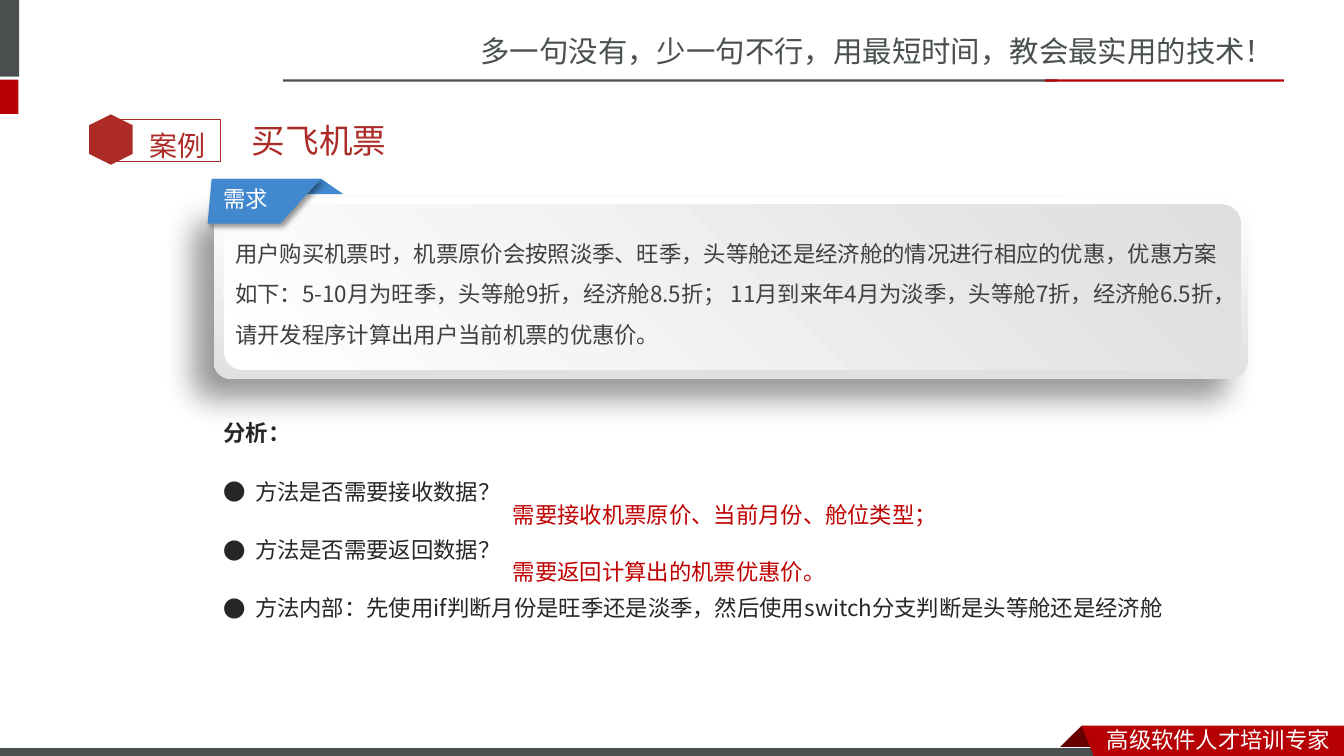
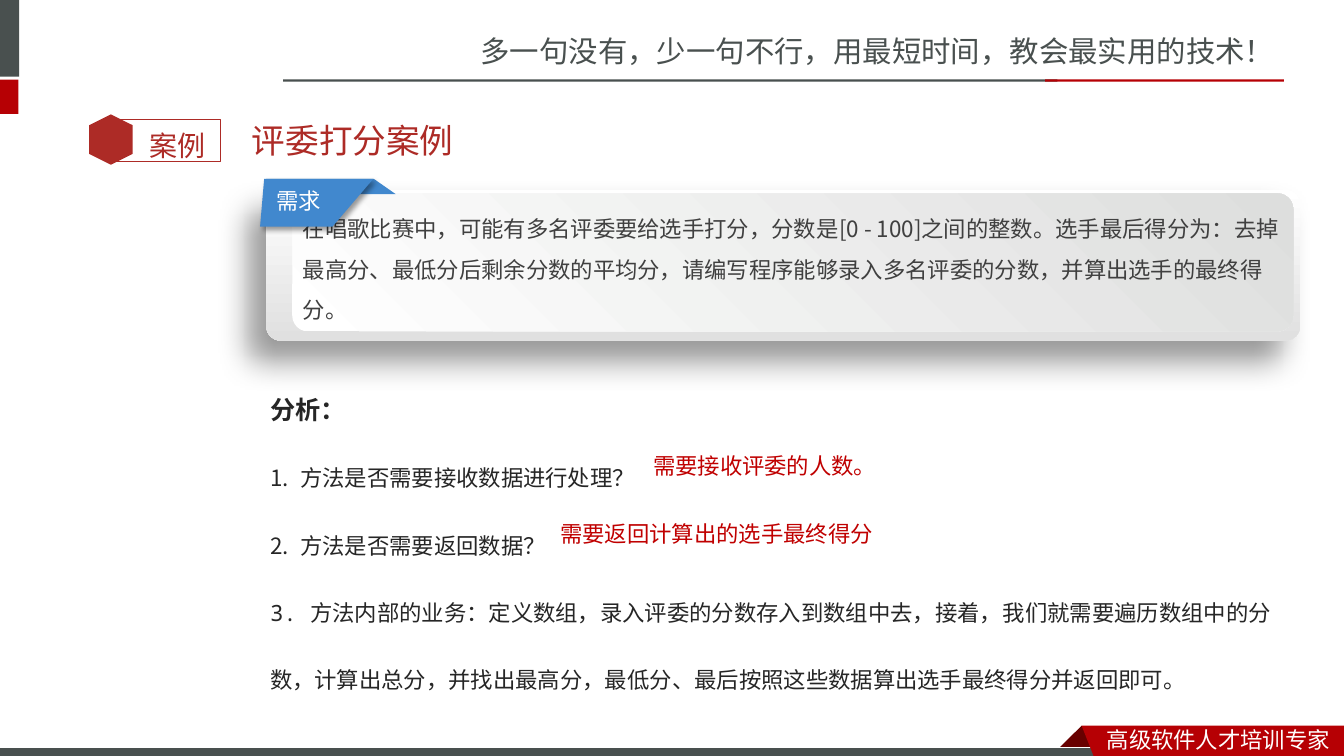
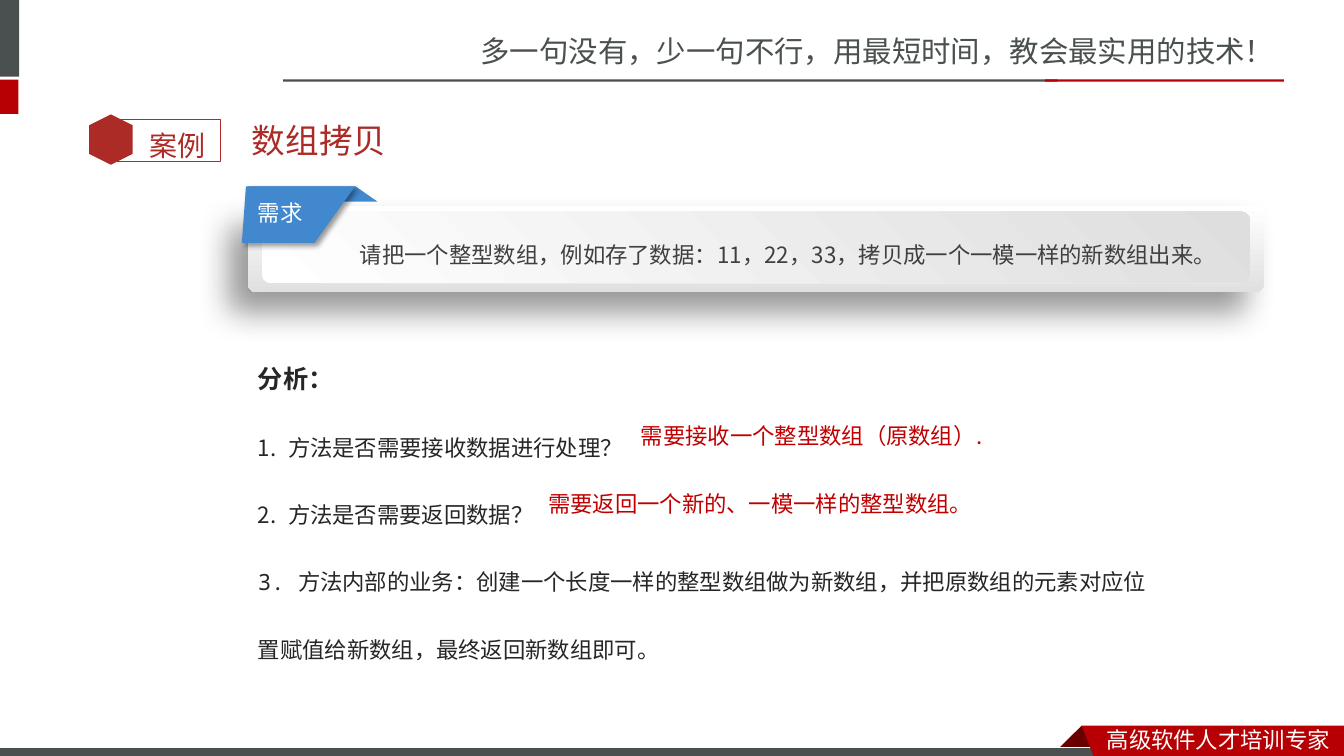
"""Builds three programming case-study slides."""
from dataclasses import dataclass
from typing import Any, Sequence

from lxml import etree
from pptx import Presentation
from pptx import util as u
from pptx.dml import color as dml
from pptx.enum import shapes, text
from pptx.oxml import ns

SANS_SC = "Noto Sans CJK SC"
SANS_JP = "Noto Sans CJK JP"
MONO = "Noto Sans Mono"
SLATE, RED, MAROON, BRICK = "49504F", "B60004", "680000", "AD2B26"
BLUE, WHITE, INK, GREY, ANSWER_RED = "4188CE", "FFFFFF", "262626", "404040", "C00000"
RECT = shapes.MSO_SHAPE.RECTANGLE
ROUNDED = shapes.MSO_SHAPE.ROUNDED_RECTANGLE
MIDDLE = text.MSO_ANCHOR.MIDDLE


@dataclass(frozen=True)
class Area:
    """A rectangle in points."""
    x: float
    y: float
    w: float
    h: float

    def lengths(self) -> tuple[int, ...]:
        """Return left, top, width and height as lengths."""
        return tuple(u.Pt(value) for value in (self.x, self.y, self.w, self.h))


@dataclass(frozen=True)
class Span:
    """A run of text in one style."""
    words: str
    font: str = SANS_JP
    size: float = 16
    color: str = INK
    bold: bool = False


@dataclass(frozen=True)
class Para:
    """A paragraph with its spacing and bullet."""
    spans: Sequence[Span]
    spacing: float = 1
    before: float = 0
    bullet: str = ""
    hang: float = 0
    left: float = 0
    centred: bool = False


@dataclass(frozen=True)
class Shadow:
    """An outer shadow: blur and distance in points, direction in degrees."""
    blur: float
    distance: float
    direction: int


@dataclass(frozen=True)
class Answer:
    """A red answer beside a question."""
    x: float
    y: float
    w: float
    words: str


@dataclass(frozen=True)
class Case:
    """The content of one slide."""
    title: str
    outer: Area
    inner: Area
    tab_top: float
    tab_height: float
    need: Para
    analysis_area: Area
    analysis: Sequence[Para]
    answers: Sequence[Answer]
    title_font: str = SANS_JP


CARD_SHADOW = Shadow(22, 20, 135)
TAB_SHADOW = Shadow(4, 3, 45)


def rgb(code: str) -> dml.RGBColor:
    """Turn a hex string into a colour."""
    return dml.RGBColor.from_string(code)


def add_shadow(shape: Any, shadow: Shadow) -> None:
    """Give a shape a soft black shadow."""
    effects = shape._element.spPr.find(ns.qn("a:effectLst"))
    outer = etree.SubElement(
        effects, ns.qn("a:outerShdw"), blurRad=str(u.Pt(shadow.blur)),
        dist=str(u.Pt(shadow.distance)), dir=str(shadow.direction * 60000),
        algn="ctr", rotWithShape="0")
    black = etree.SubElement(outer, ns.qn("a:srgbClr"), val="000000")
    etree.SubElement(black, ns.qn("a:alpha"), val="40000")


def paint(shape: Any, fill: str = "", line: str = "", width: float = 1) -> Any:
    """Set the fill and outline of a shape without a shadow."""
    shape.shadow.inherit = False
    if fill:
        shape.fill.solid()
        shape.fill.fore_color.rgb = rgb(fill)
    else:
        shape.fill.background()
    if line:
        shape.line.color.rgb = rgb(line)
        shape.line.width = u.Pt(width)
    else:
        shape.line.fill.background()
    return shape


def add_block(page: Any, area: Area, fill: str = "", line: str = "", width: float = 1,
              kind: Any = RECT) -> Any:
    """Add a preset shape."""
    return paint(page.shapes.add_shape(kind, *area.lengths()), fill, line, width)


def add_outline(page: Any, points: Sequence[tuple[float, float]], fill: str) -> Any:
    """Add a closed polygon."""
    corners = [(u.Pt(x), u.Pt(y)) for x, y in points]
    builder = page.shapes.build_freeform(*corners[0])
    builder.add_line_segments(corners[1:], close=True)
    return paint(builder.convert_to_shape(), fill)


def add_gradient(shape: Any, end: str, angle: float) -> None:
    """Fill a shape from white to another colour."""
    shape.fill.gradient()
    shape.fill.gradient_angle = angle
    for stop, code, position in zip(shape.fill.gradient_stops, (WHITE, end), (0, 1)):
        stop.color.rgb = rgb(code)
        stop.position = position


def add_bullet(para: Any, bullet: str) -> None:
    """Add a bullet character or, for 1., automatic numbering."""
    props = para._p.get_or_add_pPr()
    etree.SubElement(props, ns.qn("a:buFont"), typeface=SANS_JP)
    if bullet == "1.":
        etree.SubElement(props, ns.qn("a:buAutoNum"), type="arabicPeriod")
    else:
        etree.SubElement(props, ns.qn("a:buChar"), char=bullet)


def add_span(para: Any, span: Span) -> None:
    """Add one run with Latin and East Asian fonts."""
    run = para.add_run()
    run.text = span.words
    run.font.name = span.font
    run.font.size = u.Pt(span.size)
    run.font.bold = span.bold
    run.font.color.rgb = rgb(span.color)
    east_asian = span.font if "CJK" in span.font else SANS_SC
    etree.SubElement(run._r.get_or_add_rPr(), ns.qn("a:ea"), typeface=east_asian)


def write(frame: Any, paras: Sequence[Para], wrap: bool = True,
          anchor: Any = text.MSO_ANCHOR.TOP) -> None:
    """Fill a text frame paragraph by paragraph."""
    frame.word_wrap = wrap
    frame.vertical_anchor = anchor
    for index, item in enumerate(paras):
        para = frame.add_paragraph() if index else frame.paragraphs[0]
        para.alignment = text.PP_ALIGN.CENTER if item.centred else text.PP_ALIGN.LEFT
        para.line_spacing = item.spacing
        para.space_before = u.Pt(item.before)
        props = para._p.get_or_add_pPr()
        props.set("marL", str(u.Pt(item.left + item.hang)))
        props.set("indent", str(u.Pt(-item.hang)))
        if item.bullet:
            add_bullet(para, item.bullet)
        for span in item.spans:
            add_span(para, span)


def add_text(page: Any, area: Area, paras: Sequence[Para], wrap: bool = True,
             anchor: Any = text.MSO_ANCHOR.TOP) -> None:
    """Add a text box."""
    write(page.shapes.add_textbox(*area.lengths()).text_frame, paras, wrap, anchor)


def add_frame(page: Any) -> None:
    """Draw the slogan, bars, footer and case badge."""
    slogan = Span("多一句没有，少一句不行，用最短时间，教会最实用的技术！", SANS_SC, 21, SLATE)
    add_text(page, Area(336.2, 20.2, 623.5, 32.4), [Para([slogan])])
    add_block(page, Area(-4.3, 0, 18, 54.7), SLATE)
    add_block(page, Area(-4.3, 56.9, 17.4, 24.5), RED)
    add_block(page, Area(202.3, 56.7, 553, 1.6), SLATE)
    add_block(page, Area(746.6, 56.7, 170.6, 1.6), RED)
    add_outline(page, [(772.6, 518.4), (788.4, 534.2), (787.7, 535), (757.4, 535),
                       (756.7, 534.2)], MAROON)
    add_block(page, Area(-0.7, 533.9, 792, 8.3), SLATE, WHITE, 0.75)
    add_outline(page, [(772.6, 518.4), (960, 518.4), (960, 542.6), (782, 542.2)], RED)
    motto = Span("高级软件人才培训专家", SANS_SC, 16, WHITE)
    add_text(page, Area(783.4, 514.8, 176.4, 26.6), [Para([motto])])
    add_block(page, Area(78.5, 85.5, 79, 29.7), line=BRICK)
    hexagon = add_block(page, Area(61.2, 84.2, 36, 31), BRICK, kind=shapes.MSO_SHAPE.HEXAGON)
    hexagon.rotation = 90
    badge = Span("案例", "Roboto", 20, BRICK)
    add_text(page, Area(99.4, 76.3, 61.2, 40.3), [Para([badge], 1.5)])


def add_card(page: Any, case: Case) -> None:
    """Draw the requirement panel and its folded tab."""
    outer = add_block(page, case.outer, WHITE, kind=ROUNDED)
    outer.adjustments[0] = 0.1
    add_gradient(outer, "E0E0E0", 270)
    add_shadow(outer, CARD_SHADOW)
    inner = add_block(page, case.inner, WHITE, kind=ROUNDED)
    inner.adjustments[0] = 0.115
    add_gradient(inner, "DDDEDD", 45)
    frame = inner.text_frame
    frame.margin_left = frame.margin_right = u.Pt(4.3)
    frame.margin_top = frame.margin_bottom = u.Pt(2.2)
    write(frame, [case.need], anchor=MIDDLE)

    x, y = case.outer.x, case.tab_top
    fold, bottom = y + 10.8, y + case.tab_height
    add_outline(page, [(x, y), (x + 77, y), (x + 92.5, fold), (x, fold)], BLUE)
    front = add_outline(page, [(x - 1.4, y), (x + 76.5, y), (x + 47.5, bottom),
                               (x - 4.3, bottom)], BLUE)
    add_shadow(front, TAB_SHADOW)
    label = Span("需求", SANS_SC, 16, WHITE)
    label_top = y + (case.tab_height - 30) / 2
    add_text(page, Area(x, label_top, 46.8, 26.6), [Para([label])], wrap=False)


def add_case(deck: Any, case: Case) -> None:
    """Add one case slide."""
    page = deck.slides.add_slide(deck.slide_layouts[6])
    add_frame(page)
    title = Span(case.title, case.title_font, 24, BRICK)
    add_text(page, Area(172.8, 79.9, 725.8, 41), [Para([title])], anchor=MIDDLE)
    add_text(page, case.analysis_area, case.analysis)
    add_card(page, case)
    for answer in case.answers:
        words = Span(answer.words, color=ANSWER_RED)
        add_text(page, Area(answer.x, answer.y, answer.w, 26.6), [Para([words])])


def need(words: str, left: float = 0, centred: bool = False) -> Para:
    """Make the requirement paragraph."""
    return Para([Span(words, color=GREY)], 1.5, left=left, centred=centred)


def dotted(words: str) -> Para:
    """Make a dotted analysis point."""
    return Para([Span(words)], 2, 3.2, "●", 22.5)


def numbered_analysis(*closing: Span) -> list[Para]:
    """Make the heading, two numbered questions and the closing point."""
    questions = (" 方法是否需要接收数据进行处理？", " 方法是否需要返回数据？")
    return [Para([Span("分析：", MONO, 18, bold=True)], 2.5),
            *(Para([Span(words, MONO)], 2.5, bullet="1.", hang=18) for words in questions),
            Para(closing, 2.5)]


CASES = [
    Case("买飞机票", Area(152.6, 141.8, 738.7, 128.9), Area(159.8, 146.2, 726.5, 118.1),
         127.8, 32,
         need("用户购买机票时，机票原价会按照淡季、旺季，头等舱还是经济舱的情况进行相应的优惠，"
              "优惠方案如下：5-10月为旺季，头等舱9折，经济舱8.5折； 11月到来年4月为淡季，"
              "头等舱7折，经济舱6.5折，请开发程序计算出用户当前机票的优惠价。"),
         Area(152.6, 277, 785.5, 191),
         [Para([Span("分析：", bold=True)], 2),
          dotted("方法是否需要接收数据？"),
          dotted("方法是否需要返回数据？"),
          dotted("方法内部：先使用if判断月份是旺季还是淡季，然后使用switch分支判断是头等舱还是经济舱")],
         [Answer(359.3, 354.2, 337, "需要接收机票原价、当前月份、舱位类型；"),
          Answer(359.3, 395.3, 240, "需要返回计算出的机票优惠价。")]),
    Case("评委打分案例", Area(190.1, 135.4, 738.7, 108), Area(208.8, 138.2, 715, 98.6),
         127.8, 34,
         need("在唱歌比赛中，可能有多名评委要给选手打分，分数是[0 - 100]之间的整数。"
              "选手最后得分为：去掉最高分、最低分后剩余分数的平均分，"
              "请编写程序能够录入多名评委的分数，并算出选手的最终得分。"),
         Area(185.8, 245.5, 736.6, 214.6),
         numbered_analysis(
             Span("3. 方法内部的业务：定义数组，录入评委的分数存入到数组中去，接着，", MONO),
             Span("我们就需要遍历数组中的分数，计算出总分，并找出最高分，最低分"),
             Span("、最后按照这些数据算出选手最终得分并返回即可。", MONO)),
         [Answer(459.4, 319.7, 428.4, "需要接收评委的人数。"),
          Answer(393.1, 367.9, 301, "需要返回计算出的选手最终得分")],
         "Lato"),
    Case("数组拷贝", Area(177.1, 146.9, 725.8, 61.9), Area(187.2, 151.2, 705.6, 51.1),
         133.2, 40.3,
         need("请把一个整型数组，例如存了数据：11，22，33，拷贝成一个一模一样的新数组出来。",
              46, True),
         Area(177.1, 223.9, 657.4, 214.6),
         numbered_analysis(
             Span("3. 方法内部的业务：创建一个长度一样的整型数组做为新数组，"
                  "并把原数组的元素对应位置赋值给新数组，最终返回新数组即可。", MONO)),
         [Answer(450.7, 298.1, 428.4, "需要接收一个整型数组（原数组）."),
          Answer(384.5, 346.3, 316, "需要返回一个新的、一模一样的整型数组。")]),
]


def main() -> None:
    """Build and save the deck."""
    deck = Presentation()
    deck.slide_width, deck.slide_height = u.Pt(960), u.Pt(540)
    for case in CASES:
        add_case(deck, case)
    deck.save("out.pptx")


if __name__ == "__main__":
    main()
